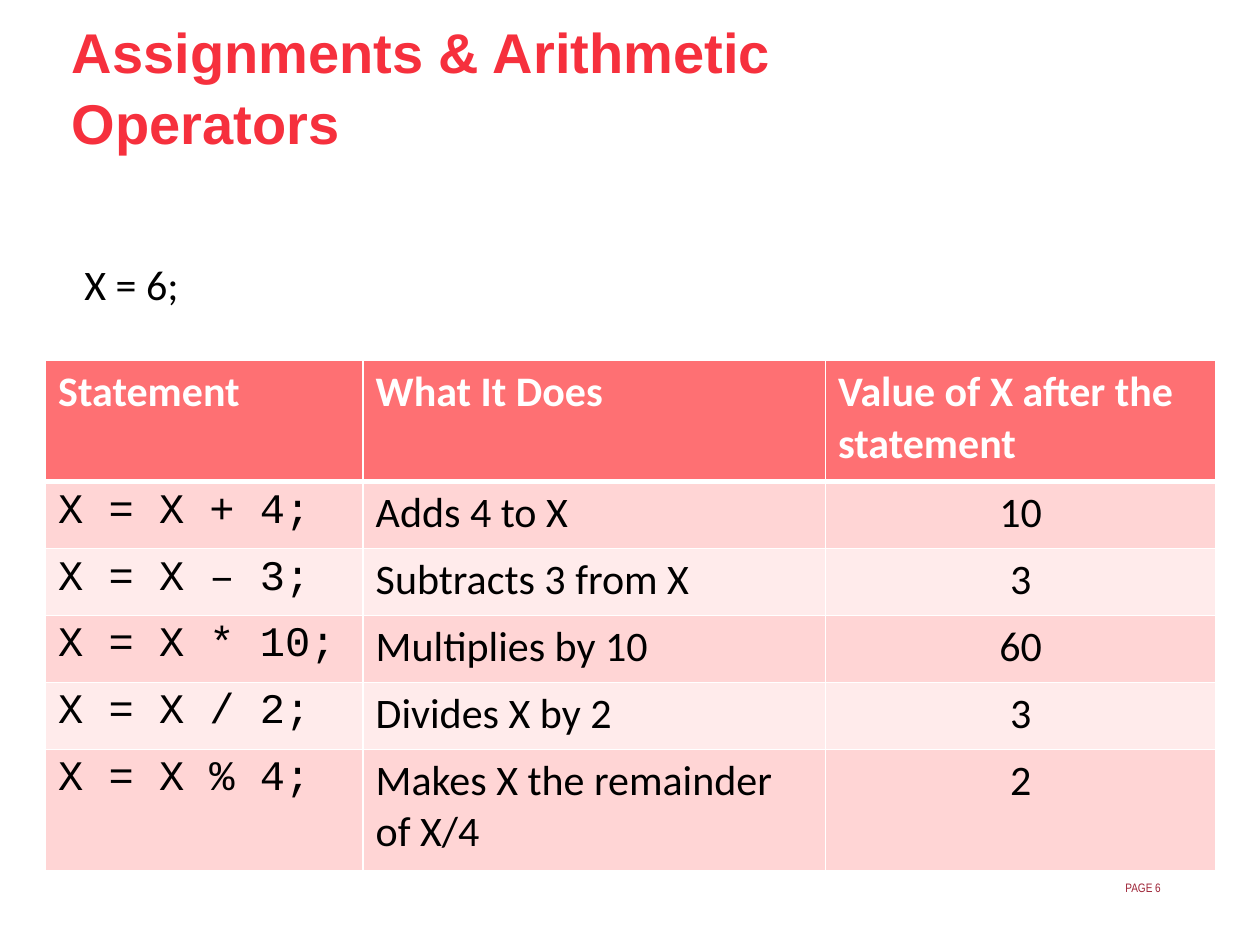
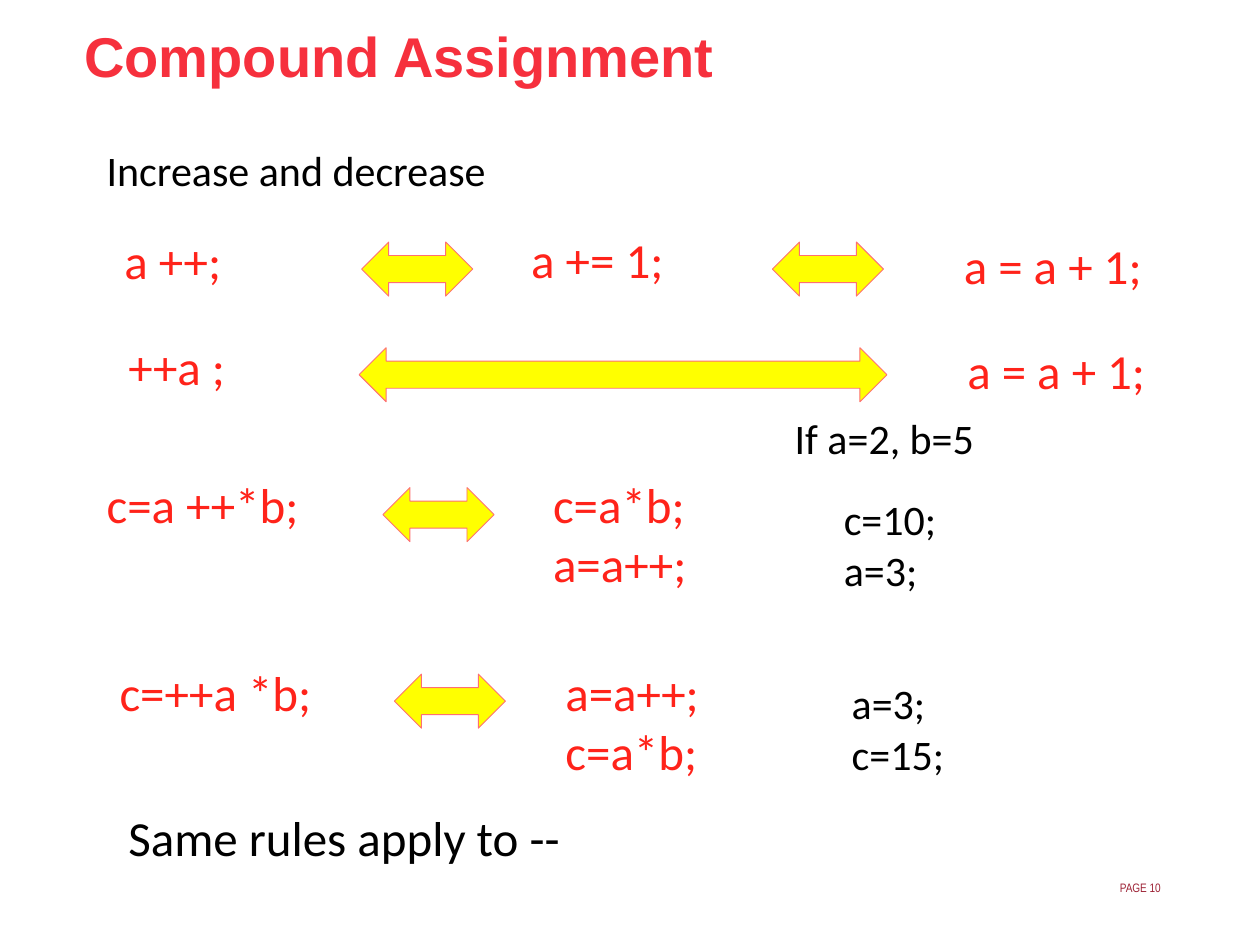
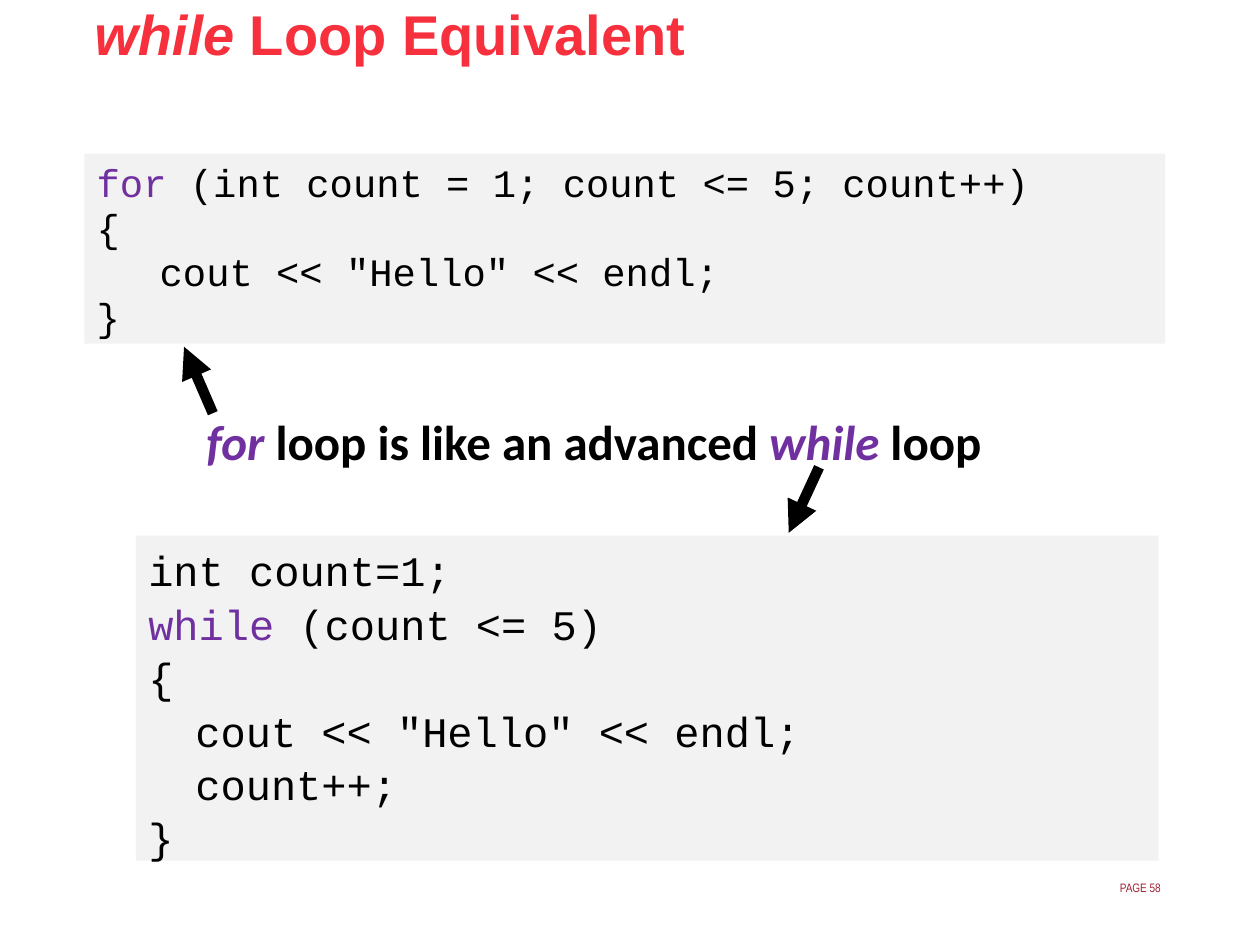
"""Build three lecture slides on operators, compound assignment and loops."""
from dataclasses import dataclass

import lxml.etree
import pptx
import pptx.dml.color
import pptx.enum.shapes
import pptx.enum.text
import pptx.oxml
import pptx.oxml.ns
import pptx.util

Cm = pptx.util.Cm
Pt = pptx.util.Pt
qn = pptx.oxml.ns.qn
ALIGN = pptx.enum.text.PP_ALIGN
SHAPES = pptx.enum.shapes.MSO_SHAPE


@dataclass(frozen=True)
class Theme:
    title: str = "F6303D"
    footer: str = "9D2235"
    text: str = "000000"
    code: str = "FF231A"
    keyword: str = "7030A0"
    white: str = "FFFFFF"
    header: str = "FE7073"
    bands: tuple = ("FFD5D5", "FFEBEB")
    panel: str = "F2F2F2"
    arrow: str = "FFFF00"
    title_font: str = "Arial"
    body_font: str = "Calibri"
    code_font: str = "Courier New"
    footer_font: str = "Arial Narrow"
    title_size: float = 32
    large: float = 28
    body: float = 24
    small_code: float = 22.2
    footer_size: float = 7
    title_pitch: float = 20.2


THEME = Theme()
ITALIC = {"italic": True}
KEYWORD = {"colour": THEME.keyword}
ITALIC_KEYWORD = {"colour": THEME.keyword, "italic": True}

OPERATORS = {
    "title": [["Assignments & Arithmetic"], ["Operators"]],
    "title_box": (1.45, 1, 18.42, 3.2),
    "page": 6,
    "start": "X = 6;",
    "table_corner": (0.92, 7.27),
    "columns": (6.4, 9.32, 7.87),
    "row_heights": (2.44, 1.35, 1.35, 1.35, 1.35, 2.44),
    "rows": [
        ("Statement", "What It Does", "Value of X after the statement"),
        ("X = X + 4;", "Adds 4 to X", "10"),
        ("X = X – 3;", "Subtracts 3 from X", "3"),
        ("X = X * 10;", "Multiplies by 10", "60"),
        ("X = X / 2;", "Divides X by 2", "3"),
        ("X = X % 4;", "Makes X the remainder of X/4", "2"),
    ],
}

COMPOUND = {
    "title": [["Compound Assignment"]],
    "title_box": (1.7, 1.07, 18.08, 2.87),
    "page": 10,
    "code": [
        (2.26, 4.52, 2.55, ["a ++;"]),
        (10.46, 4.5, 3.3, ["a += 1;"]),
        (19.18, 4.62, 4.25, ["a = a + 1;"]),
        (2.34, 6.65, 2.55, ["++a ;"]),
        (19.25, 6.73, 4.25, ["a = a + 1;"]),
        (1.9, 9.45, 5.56, ["c=a ++*b;"]),
        (10.9, 9.45, 3.3, ["c=a*b;", "a=a++;"]),
        (2.16, 13.23, 5.56, ["c=++a *b;"]),
        (11.15, 13.23, 3.3, ["a=a++;", "c=a*b;"]),
    ],
    "remarks": [
        (1.9, 2.79, 20.37, ["Increase and decrease"]),
        (15.77, 8.2, 4.25, ["If a=2, b=5"]),
        (16.76, 9.83, 2.5, ["c=10;", "a=3;"]),
        (16.92, 13.54, 3.43, ["a=3;", "c=15;"]),
    ],
    "rule": (2.34, 16.15, 9.4, ["Same rules apply to --"]),
    "arrows": [
        (7.29, 4.88, 2.24),
        (15.57, 4.88, 2.24),
        (7.24, 7.01, 10.64),
        (7.72, 9.83, 2.24),
        (7.95, 13.59, 2.24),
    ],
}
ARROW_HEIGHT = 1.09

LOOPS = {
    "title": [[("while", ITALIC), " Loop Equivalent"]],
    "title_box": (1.9, 0.64, 17.88, 2.06),
    "page": 58,
    "panels": [
        {
            "box": (1.7, 3.1, 21.79, 3.83),
            "size": THEME.small_code, "spacing": 0.75, "before": 5.5, "indent": 1.27,
            "lines": [
                (0, [("for", KEYWORD), " (int count = 1; count <= 5; count++)"]),
                (0, ["{"]),
                (1, ['cout << "Hello" << endl;']),
                (0, ["}"]),
            ],
        },
        {
            "box": (2.74, 10.8, 20.62, 6.55),
            "size": THEME.body, "spacing": 0.85, "before": 6, "indent": 0.95,
            "lines": [
                (0, ["int count=1;"]),
                (0, [("while", KEYWORD), " (count <= 5)"]),
                (0, ["{"]),
                (1, ['cout << "Hello" << endl;']),
                (1, ["count++;"]),
                (0, ["}"]),
            ],
        },
    ],
    "summary": (3.91, 8.18, 16.4, [
        [("for", ITALIC_KEYWORD), " loop is like an advanced ",
         ("while", ITALIC_KEYWORD), " loop"]]),
    "pointers": [(4.29, 8.33, 3.71, 6.99), (16.51, 9.42, 15.9, 10.74)],
}


def rgb(value):
    return pptx.dml.color.RGBColor.from_string(value)


def lengths(values):
    return [Cm(value) for value in values]


def write_runs(paragraph, runs, font, size, colour, bold=False):
    for item in runs:
        text, special = (item, {}) if isinstance(item, str) else item
        run = paragraph.add_run()
        run.text = text
        run.font.name = font
        run.font.size = Pt(size)
        run.font.bold = bold
        run.font.italic = special.get("italic", False)
        run.font.color.rgb = rgb(special.get("colour", colour))


def paragraphs_for(text_frame, count):
    for _ in range(count - 1):
        text_frame.add_paragraph()
    return text_frame.paragraphs


def clear_margins(text_frame):
    text_frame.margin_left = text_frame.margin_right = 0
    text_frame.margin_top = text_frame.margin_bottom = 0


def add_label(slide, left, top, width, lines, size,
              colour=THEME.text, font=THEME.body_font, bold=False):
    height = Pt(size * 1.22 * len(lines)) + Cm(0.25)
    shape = slide.shapes.add_textbox(*lengths((left, top, width)), height)
    text_frame = shape.text_frame
    text_frame.word_wrap = True
    text_frame.auto_size = pptx.enum.text.MSO_AUTO_SIZE.SHAPE_TO_FIT_TEXT
    for paragraph, line in zip(paragraphs_for(text_frame, len(lines)), lines):
        runs = [line] if isinstance(line, str) else line
        write_runs(paragraph, runs, font, size, colour, bold)
    return shape


def add_slide(presentation, content):
    slide = presentation.slides.add_slide(presentation.slide_layouts[5])
    title = slide.shapes.title
    title.left, title.top, title.width, title.height = lengths(content["title_box"])
    text_frame = title.text_frame
    clear_margins(text_frame)
    text_frame.word_wrap = True
    text_frame.auto_size = pptx.enum.text.MSO_AUTO_SIZE.NONE
    text_frame.vertical_anchor = pptx.enum.text.MSO_ANCHOR.TOP
    lines = content["title"]
    for index, paragraph in enumerate(paragraphs_for(text_frame, len(lines))):
        paragraph.alignment = ALIGN.LEFT
        paragraph.line_spacing = Pt(THEME.title_pitch)
        paragraph.space_before = Pt(THEME.title_pitch if index else 0)
        write_runs(paragraph, lines[index], THEME.title_font, THEME.title_size,
                   THEME.title, bold=True)
    footer = add_label(slide, 17.86, 17.75, 5.54, [f"PAGE {content['page']}"],
                       THEME.footer_size, THEME.footer, THEME.footer_font)
    clear_margins(footer.text_frame)
    footer.height = Cm(0.3)
    footer.text_frame.paragraphs[0].alignment = ALIGN.RIGHT
    return slide


def add_filled_shape(slide, kind, box, fill, line=None):
    shape = slide.shapes.add_shape(kind, *lengths(box))
    shape.shadow.inherit = False
    shape.fill.solid()
    shape.fill.fore_color.rgb = rgb(fill)
    if line:
        shape.line.color.rgb = rgb(line)
        shape.line.width = Pt(0.5)
    else:
        shape.line.fill.background()
    return shape


def set_borders(cell, header_edge):
    properties = cell._tc.get_or_add_tcPr()
    for side in ("lnL", "lnR", "lnT", "lnB"):
        width = Pt(3 if side == header_edge else 1)
        border = lxml.etree.SubElement(properties, qn(f"a:{side}"), w=str(width))
        fill = lxml.etree.SubElement(border, qn("a:solidFill"))
        lxml.etree.SubElement(fill, qn("a:srgbClr"), val=THEME.white)


def add_operator_table(slide, content):
    rows, columns, heights = content["rows"], content["columns"], content["row_heights"]
    frame = slide.shapes.add_table(
        len(rows), len(columns), *lengths(content["table_corner"]),
        Cm(sum(columns)), Cm(sum(heights)))
    table = frame.table
    for column, width in zip(table.columns, columns):
        column.width = Cm(width)
    for row_index, values in enumerate(rows):
        table.rows[row_index].height = Cm(heights[row_index])
        header = row_index == 0
        for column_index, value in enumerate(values):
            cell = table.cell(row_index, column_index)
            set_borders(cell, {0: "lnB", 1: "lnT"}.get(row_index))
            cell.fill.solid()
            cell.fill.fore_color.rgb = rgb(
                THEME.header if header else THEME.bands[(row_index - 1) % 2])
            paragraph = cell.text_frame.paragraphs[0]
            is_code = column_index == 0 and not header
            write_runs(paragraph, [value],
                       THEME.code_font if is_code else THEME.body_font, THEME.body,
                       THEME.white if header else THEME.text, bold=header)
            if column_index == 2 and not header:
                paragraph.alignment = ALIGN.CENTER


def add_code_panel(slide, panel):
    shape = add_filled_shape(slide, SHAPES.RECTANGLE, panel["box"], THEME.panel)
    text_frame = shape.text_frame
    text_frame.word_wrap = True
    text_frame.vertical_anchor = pptx.enum.text.MSO_ANCHOR.TOP
    text_frame.margin_top = Cm(0.13) + Pt(panel["before"])
    lines = panel["lines"]
    for index, paragraph in enumerate(paragraphs_for(text_frame, len(lines))):
        depth, runs = lines[index]
        paragraph.alignment = ALIGN.LEFT
        paragraph.line_spacing = panel["spacing"]
        paragraph.space_before = Pt(panel["before"] if index else 0)
        paragraph._p.get_or_add_pPr().set("marL", str(Cm(depth * panel["indent"])))
        write_runs(paragraph, runs, THEME.code_font, panel["size"], THEME.text)


def add_pointer(slide, ends):
    connector = slide.shapes.add_connector(
        pptx.enum.shapes.MSO_CONNECTOR.STRAIGHT, *lengths(ends))
    connector.line.color.rgb = rgb(THEME.text)
    connector.line.width = Pt(6)
    lxml.etree.SubElement(connector.line._get_or_add_ln(), qn("a:tailEnd"), type="triangle")
    lxml.etree.SubElement(connector._element.spPr, qn("a:effectLst"))


def build_operators(presentation):
    slide = add_slide(presentation, OPERATORS)
    add_operator_table(slide, OPERATORS)
    add_label(slide, 1.45, 5.08, 14.4, [OPERATORS["start"]], THEME.body)


def build_compound(presentation):
    slide = add_slide(presentation, COMPOUND)
    for left, top, width in COMPOUND["arrows"]:
        add_filled_shape(slide, SHAPES.LEFT_RIGHT_ARROW,
                         (left, top, width, ARROW_HEIGHT), THEME.arrow, THEME.header)
    for label in COMPOUND["code"]:
        add_label(slide, *label, THEME.large, THEME.code)
    for label in COMPOUND["remarks"]:
        add_label(slide, *label, THEME.body)
    add_label(slide, *COMPOUND["rule"], THEME.large)


def build_loops(presentation):
    slide = add_slide(presentation, LOOPS)
    for panel in LOOPS["panels"]:
        add_code_panel(slide, panel)
    add_label(slide, *LOOPS["summary"], THEME.large, bold=True)
    for ends in LOOPS["pointers"]:
        add_pointer(slide, ends)


def main():
    presentation = pptx.Presentation()
    presentation.slide_width, presentation.slide_height = Cm(25.4), Cm(19.05)
    build_operators(presentation)
    build_compound(presentation)
    build_loops(presentation)
    presentation.save("out.pptx")


if __name__ == "__main__":
    main()
